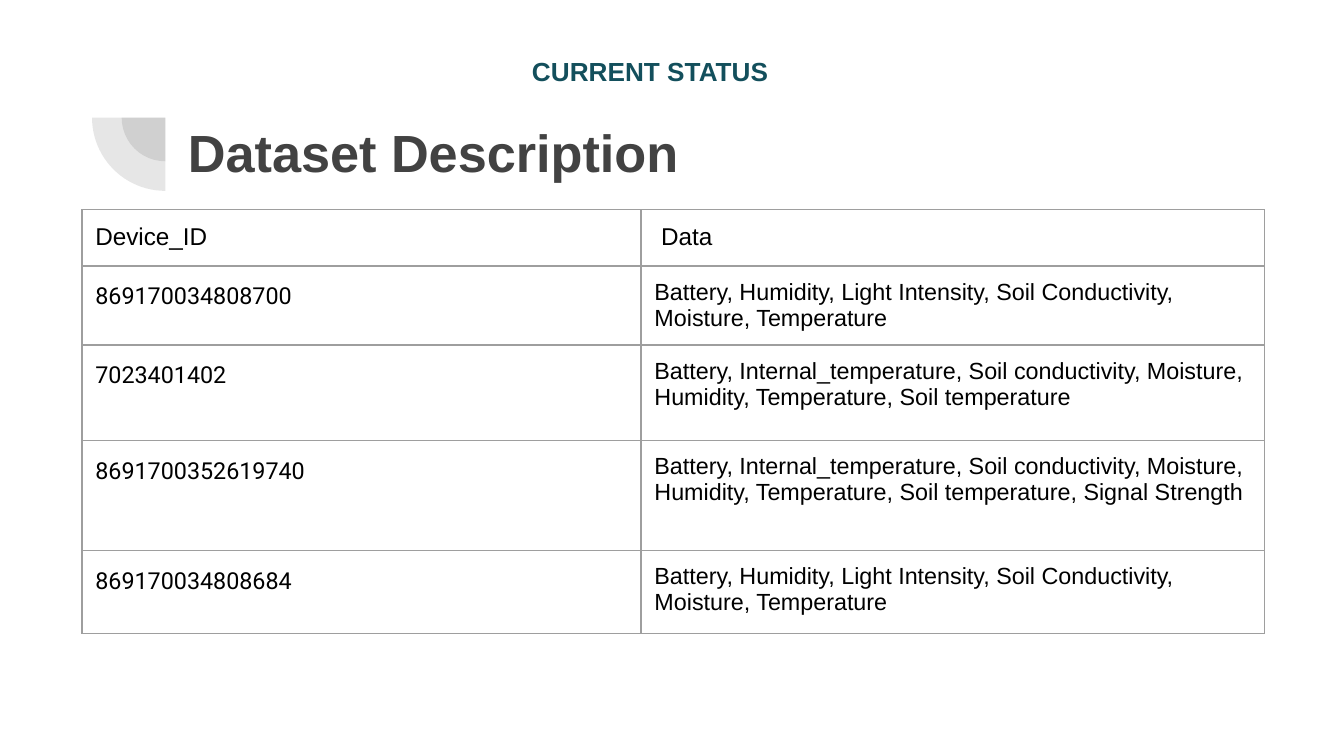
from dataclasses import dataclass

from lxml import etree
from pptx import Presentation
from pptx import util as u
from pptx.dml.color import RGBColor
from pptx.enum import shapes, text
from pptx.oxml import ns

COLUMNS, ROWS = 100, 56.25
UNIT = u.Inches(0.1)
COLORS = {"title": "424242", "status": "134F5C", "text": "000000", "border": "9E9E9E"}


@dataclass(frozen=True)
class Label:
    words: str
    left: float
    top: float
    width: float
    height: float
    size: float
    color: str
    spacing: float


@dataclass(frozen=True)
class Device:
    number: str
    data: str
    height: float
    space_after: float


SHORT_DATA = "Battery, Humidity, Light Intensity, Soil Conductivity, Moisture, Temperature"
LONG_DATA = (
    "Battery, Internal_temperature, Soil conductivity, Moisture, "
    "Humidity, Temperature, Soil temperature"
)
DEVICES = [
    Device("869170034808700", SHORT_DATA, 4.2, 9),
    Device("7023401402", LONG_DATA, 7.1, 9),
    Device("8691700352619740", LONG_DATA + ", Signal Strength", 8.2, 0),
    Device("869170034808684", SHORT_DATA, 6.2, 0),
]
LABELS = [
    Label("Dataset Description", 13, 7.5, 76.9, 10.9, 28, "title", 1.1),
    Label("CURRENT STATUS", 38.6, 3.1, 40.9, 4.4, 14, "status", 1),
]
PIE_CENTER = (12.3, 8.75)
PIE_RADII = (3.25, 5.45)
TABLE_LEFT, TABLE_TOP = 6.1, 15.6
TABLE_COLUMNS = (41.6, 46.4)
HEADER_HEIGHT = 4.2


def grid(count: float) -> u.Emu:
    return u.Emu(round(count * UNIT))


def add_span(para, words: str, size: float, color: str, font: str = "Arial", bold: bool = False) -> None:
    span = para.add_run()
    span.text = words
    span.font.size = u.Pt(size)
    span.font.name = font
    span.font.bold = bold
    span.font.color.rgb = RGBColor.from_string(COLORS[color])


def set_margins(holder) -> None:
    holder.margin_left = holder.margin_right = UNIT
    holder.margin_top = holder.margin_bottom = UNIT


def draw_pie(page, radius: float) -> None:
    left, top = (grid(center - radius) for center in PIE_CENTER)
    pie = page.shapes.add_shape(shapes.MSO_SHAPE.PIE, left, top, grid(2 * radius), grid(2 * radius))
    pie.adjustments[0], pie.adjustments[1] = 108, 162
    pie.rotation = 270
    pie.shadow.inherit = False
    pie.fill.solid()
    pie.fill.fore_color.rgb = RGBColor.from_string(COLORS["title"])
    color = pie.fill._xPr.find(".//" + ns.qn("a:srgbClr"))
    etree.SubElement(color, ns.qn("a:alpha"), val="13000")
    pie.line.fill.background()


def draw_label(page, label: Label) -> None:
    box = page.shapes.add_textbox(*map(grid, (label.left, label.top, label.width, label.height)))
    frame = box.text_frame
    frame.word_wrap = True
    frame.vertical_anchor = text.MSO_ANCHOR.TOP
    set_margins(frame)
    para = frame.paragraphs[0]
    para.line_spacing = label.spacing
    add_span(para, label.words, label.size, label.color, bold=True)


def draw_borders(cell) -> None:
    properties = cell._tc.get_or_add_tcPr()
    for index, side in enumerate(("lnL", "lnR", "lnT", "lnB")):
        line = etree.Element(ns.qn("a:" + side), w=str(u.Pt(0.75)))
        fill = etree.SubElement(line, ns.qn("a:solidFill"))
        etree.SubElement(fill, ns.qn("a:srgbClr"), val=COLORS["border"])
        properties.insert(index, line)


def draw_table(page, devices: list[Device]) -> None:
    heights = [HEADER_HEIGHT] + [device.height for device in devices]
    table = page.shapes.add_table(
        len(heights), len(TABLE_COLUMNS), grid(TABLE_LEFT), grid(TABLE_TOP),
        grid(sum(TABLE_COLUMNS)), grid(sum(heights)),
    ).table
    table.first_row = table.horz_banding = False
    for column, width in zip(table.columns, TABLE_COLUMNS):
        column.width = grid(width)
    for row, height in zip(table.rows, heights):
        row.height = grid(height)
    for cell in table.iter_cells():
        cell.fill.background()
        set_margins(cell)
        draw_borders(cell)

    for column, heading in enumerate(("Device_ID", " Data")):
        add_span(table.cell(0, column).text_frame.paragraphs[0], heading, 13, "text")
    for row, device in enumerate(devices, start=1):
        para = table.cell(row, 0).text_frame.paragraphs[0]
        para.line_spacing = 1.15
        para.space_before = u.Pt(9)
        para.space_after = u.Pt(device.space_after)
        add_span(para, device.number, 12.5, "text", "Roboto")
        add_span(table.cell(row, 1).text_frame.paragraphs[0], device.data, 12.5, "text")


def main() -> None:
    deck = Presentation()
    deck.slide_width, deck.slide_height = grid(COLUMNS), grid(ROWS)
    page = deck.slides.add_slide(deck.slide_layouts[6])
    for radius in PIE_RADII:
        draw_pie(page, radius)
    draw_table(page, DEVICES)
    for label in LABELS:
        draw_label(page, label)
    deck.save("out.pptx")


if __name__ == "__main__":
    main()
